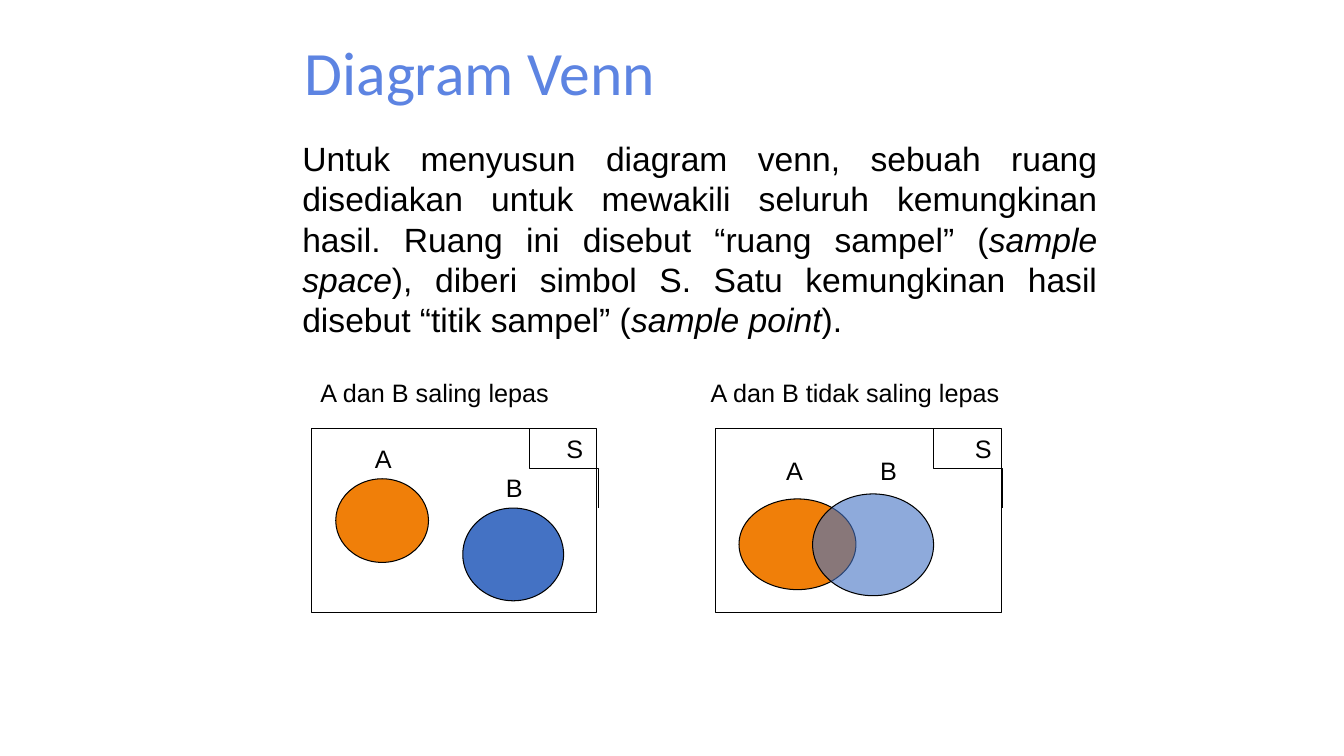
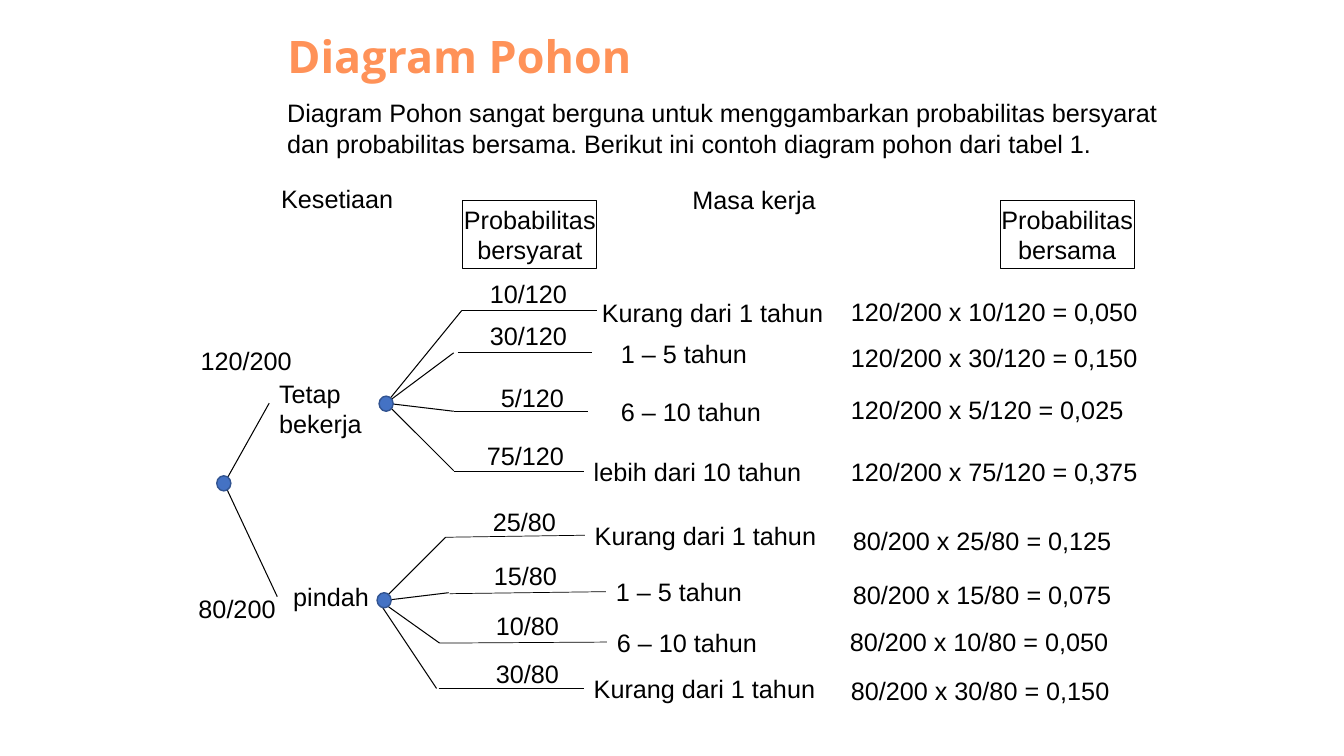
import pptx
import pptx.util
import pptx.dml.color
import pptx.enum.text
import pptx.enum.shapes
import pptx.oxml
import pptx.oxml.ns
import lxml.etree

Inches = pptx.util.Inches
Align = pptx.enum.text.PP_ALIGN
Anchor = pptx.enum.text.MSO_ANCHOR
Shape = pptx.enum.shapes.MSO_SHAPE
Connector = pptx.enum.shapes.MSO_CONNECTOR

COLORS = {
    "ink": "000000",
    "venn title": "5D84E2",
    "tree title": "FF9258",
    "orange": "F07F09",
    "blue": "4472C4",
    "node edge": "325491",
}
BODY = {"name": "Arial", "size": 18, "color": "ink"}
LEAD = {**BODY, "size": 24}
ITALIC = {**LEAD, "italic": True}

VENN_TITLE = {
    "text": "Diagram Venn",
    "area": (2.92, 0.17, 8.33, 1.15),
    "font": {"name": "Calibri", "size": 44, "color": "venn title", "bold": False},
    "anchor": Anchor.MIDDLE,
    "spacing": 0.9,
}
TREE_TITLE = {
    "text": "Diagram Pohon",
    "area": (2.75, 0.17, 8.75, 0.7),
    "font": {"name": "Open Sans", "size": 32, "color": "tree title", "bold": True},
    "anchor": Anchor.BOTTOM,
    "spacing": 1.0,
}

VENN_INTRO = [
    ("Untuk menyusun diagram venn, sebuah ruang disediakan untuk mewakili seluruh "
     "kemungkinan hasil. Ruang ini disebut “ruang sampel” (", LEAD),
    ("sample space", ITALIC),
    ("), diberi simbol S. Satu kemungkinan hasil disebut “titik sampel” (", LEAD),
    ("sample point", ITALIC),
    (").", LEAD),
]
VENN_PANELS = [
    {
        "caption": ("A dan B saling lepas", 3.08, 2.75),
        "left": 3.09,
        "circles": [((3.33, 4.75, 0.92, 0.83), "orange", None),
                    ((4.59, 5.04, 1, 0.92), "blue", None)],
        "letters": [("A", 3.62, 4.35), ("B", 4.92, 4.64), ("S", 5.52, 4.25)],
    },
    {
        "caption": ("A dan B tidak saling lepas", 6.95, 4.08),
        "left": 7.1,
        "circles": [((7.33, 4.95, 1.16, 0.9), "orange", None),
                    ((8.06, 4.9, 1.2, 1.01), "blue", 60)],
        "letters": [("A", 7.7, 4.47), ("B", 8.63, 4.47), ("S", 9.57, 4.25)],
    },
]
PANEL_TOP, PANEL_WIDTH, PANEL_HEIGHT = 4.25, 2.83, 1.83
CORNER_WIDTH, CORNER_DROP = 0.68, 0.79

TREE_INTRO = (
    "Diagram Pohon sangat berguna untuk menggambarkan probabilitas bersyarat dan "
    "probabilitas bersama. Berikut ini contoh diagram pohon dari tabel 1.")
HEADINGS = [("Kesetiaan", 2.69, 1.77, 1.33), ("Masa kerja", 6.77, 1.78, 1.5)]
HEADING_BOXES = [("bersyarat", 4.59), ("bersama", 9.92)]
ROOT_NODE = (2.15, 4.72)
BRANCHES = [
    {
        "odds": ("120/200", 1.89, 3.38),
        "name": ("Tetap bekerja", 2.67, 3.7, 0.7),
        "trunk": ((2.25, 4.75), (2.67, 4)),
        "node": (3.76, 3.93),
        "leaves": [
            (("10/120", 4.76, 2.71), ("Kurang dari 1 tahun", 5.87, 2.9), ("0,050", 8.34, 2.89)),
            (("30/120", 4.76, 3.13), ("1 – 5 tahun", 6.06, 3.31), ("0,150", 8.34, 3.35)),
            (("5/120", 4.87, 3.74), ("6 – 10 tahun", 6.06, 3.88), ("0,025", 8.34, 3.86)),
            (("75/120", 4.73, 4.32), ("lebih dari 10 tahun", 5.79, 4.48), ("0,375", 8.34, 4.48)),
        ],
        "twigs": [
            ((3.83, 4), (4.58, 3.08), (4.58, 3.08), (5.92, 3.08), 0.75),
            ((3.83, 4), (4.5, 3.5), (4.54, 3.5), (5.87, 3.5), 0.75),
            ((3.83, 4), (4.5, 4.08), (4.5, 4.08), (5.83, 4.08), 0.75),
            ((3.83, 4), (4.5, 4.67), (4.5, 4.68), (5.79, 4.68), 0.5),
        ],
    },
    {
        "odds": ("80/200", 1.87, 5.84),
        "name": ("pindah", 2.81, 5.72, 0.4),
        "trunk": ((2.23, 4.81), (2.75, 5.92)),
        "node": (3.74, 5.88),
        "leaves": [
            (("25/80", 4.79, 4.97), ("Kurang dari 1 tahun", 5.8, 5.11), ("0,125", 8.36, 5.16)),
            (("15/80", 4.8, 5.51), ("1 – 5 tahun", 6.01, 5.67), ("0,075", 8.36, 5.7)),
            (("10/80", 4.82, 6.01), ("6 – 10 tahun", 6.02, 6.17), ("0,050", 8.33, 6.16)),
            (("30/80", 4.82, 6.48), ("Kurang dari 1 tahun", 5.79, 6.63), ("0,150", 8.34, 6.65)),
        ],
        "twigs": [
            ((3.83, 5.92), (4.42, 5.33), (4.42, 5.33), (5.8, 5.31), 0.5),
            ((3.79, 5.96), (4.45, 5.88), (4.46, 5.89), (6.01, 5.87), 0.5),
            ((3.77, 5.96), (4.36, 6.38), (4.36, 6.38), (6.02, 6.37), 0.5),
            ((3.75, 5.96), (4.33, 6.83), (4.35, 6.83), (5.79, 6.83), 0.5),
        ],
    },
]
LINE_HEIGHT = 0.4


def rgb(name):
    return pptx.dml.color.RGBColor.from_string(COLORS[name])


def add_span(para, text, style):
    span = para.add_run()
    span.text = text
    for key, value in style.items():
        if key == "color":
            span.font.color.rgb = rgb(value)
        else:
            setattr(span.font, key, pptx.util.Pt(value) if key == "size" else value)


def add_page(deck, title):
    page = deck.slides.add_slide(deck.slide_layouts[5])
    box = page.shapes.title
    for key, value in zip(("left", "top", "width", "height"), title["area"]):
        setattr(box, key, Inches(value))
    frame = box.text_frame
    settings = {"auto_size": pptx.enum.text.MSO_AUTO_SIZE.NONE,
                "word_wrap": True, "vertical_anchor": title["anchor"]}
    for key, value in settings.items():
        setattr(frame, key, value)
    para = frame.paragraphs[0]
    para.alignment = Align.LEFT
    para.line_spacing = title["spacing"]
    add_span(para, title["text"], title["font"])
    return page


def add_text(page, spans, left, top, width, height=LINE_HEIGHT, align=Align.LEFT):
    box = page.shapes.add_textbox(*map(Inches, (left, top, width, height)))
    box.text_frame.word_wrap = True
    para = box.text_frame.paragraphs[0]
    para.alignment = align
    for text, style in [(spans, BODY)] if isinstance(spans, str) else spans:
        add_span(para, text, style)


def add_figure(page, kind, area, fill=None, edge="ink", weight=0.75, opacity=None):
    shape = page.shapes.add_shape(kind, *map(Inches, area))
    shape.shadow.inherit = False
    shape.line.color.rgb = rgb(edge)
    shape.line.width = pptx.util.Pt(weight)
    if fill is None:
        shape.fill.background()
        return shape
    shape.fill.solid()
    shape.fill.fore_color.rgb = rgb(fill)
    if opacity is not None:
        color = shape.element.spPr.find(".//" + pptx.oxml.ns.qn("a:srgbClr"))
        alpha = lxml.etree.SubElement(color, pptx.oxml.ns.qn("a:alpha"))
        alpha.set("val", str(opacity * 1000))
    return shape


def add_line(page, start, end, weight=0.75, kind=Connector.STRAIGHT):
    line = page.shapes.add_connector(kind, *map(Inches, (*start, *end)))
    line.line.color.rgb = rgb("ink")
    line.line.width = pptx.util.Pt(weight)
    lxml.etree.SubElement(line.element.spPr, pptx.oxml.ns.qn("a:effectLst"))
    return line


def add_corner(page, right):
    middle_x = right - CORNER_WIDTH / 2
    middle_y = PANEL_TOP + CORNER_DROP / 2
    start = (middle_x - CORNER_DROP / 2, middle_y - CORNER_WIDTH / 2)
    end = (middle_x + CORNER_DROP / 2, middle_y + CORNER_WIDTH / 2)
    corner = add_line(page, start, end, 0.5, Connector.ELBOW)
    frame = corner.element.spPr.find(pptx.oxml.ns.qn("a:xfrm"))
    for key, value in {"rot": "16200000", "flipH": "1"}.items():
        frame.set(key, value)


def add_node(page, place):
    add_figure(page, Shape.FLOWCHART_CONNECTOR, (*place, 0.14, 0.15),
               "blue", "node edge", 1)


def build_venn(deck):
    page = add_page(deck, VENN_TITLE)
    add_text(page, VENN_INTRO, 2.9, 1.32, 8.08, 2.12, Align.JUSTIFY)
    for panel in VENN_PANELS:
        caption, left, width = panel["caption"]
        add_text(page, caption, left, 3.69, width)
        add_figure(page, Shape.RECTANGLE,
                   (panel["left"], PANEL_TOP, PANEL_WIDTH, PANEL_HEIGHT))
        for area, fill, opacity in panel["circles"]:
            add_figure(page, Shape.OVAL, area, fill, opacity=opacity)
        for letter, left, top in panel["letters"]:
            add_text(page, letter, left, top, 0.33)
        add_corner(page, panel["left"] + PANEL_WIDTH + 0.01)


def build_tree(deck):
    page = add_page(deck, TREE_TITLE)
    add_text(page, TREE_INTRO, 2.75, 0.92, 8.83, 0.7)
    for heading in HEADINGS:
        add_text(page, *heading)
    for word, left in HEADING_BOXES:
        box = add_figure(page, Shape.RECTANGLE, (left, 1.99, 1.33, 0.67))
        frame = box.text_frame
        frame.word_wrap = False
        frame.vertical_anchor = Anchor.MIDDLE
        for para, text in ((frame.paragraphs[0], "Probabilitas"),
                           (frame.add_paragraph(), word)):
            para.alignment = Align.CENTER
            add_span(para, text, BODY)
    for branch in BRANCHES:
        odds, left, top = branch["odds"]
        add_text(page, odds, left, top, 1.42)
        name, left, top, height = branch["name"]
        add_text(page, name, left, top, 1.17, height)
        add_line(page, *branch["trunk"])
        for start, bend, shelf, end, weight in branch["twigs"]:
            add_line(page, start, bend)
            add_line(page, shelf, end, weight)
        for (chance, *chance_at), (tenure, *tenure_at), (joint, *joint_at) in branch["leaves"]:
            add_text(page, chance, *chance_at, 1.17)
            add_text(page, tenure, *tenure_at, 2.42)
            add_text(page, f"{odds} x {chance} = {joint}", *joint_at, 3.08)
        add_node(page, branch["node"])
    add_node(page, ROOT_NODE)


deck = pptx.Presentation()
deck.slide_width = Inches(13.33)
deck.slide_height = Inches(7.5)
build_venn(deck)
build_tree(deck)
deck.save("out.pptx")
